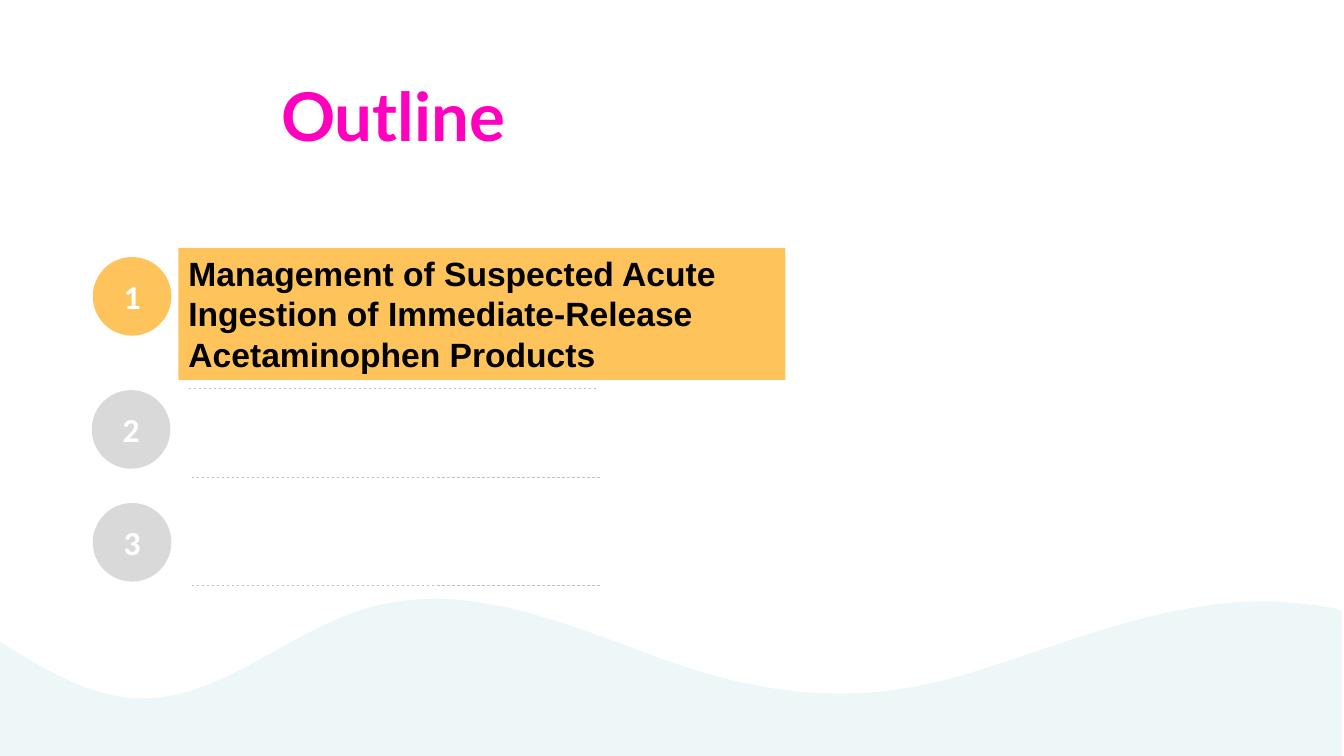
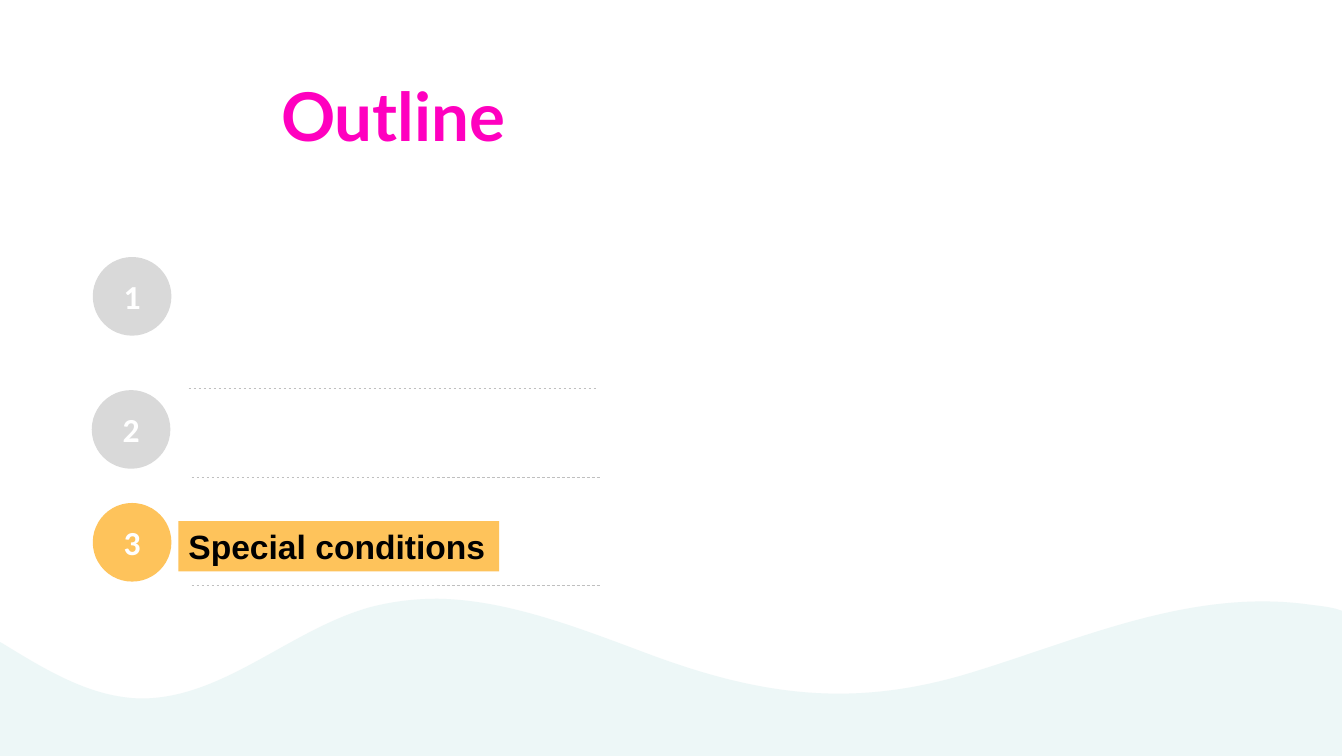
"""Build two outline slides, each with one topic lit."""
from dataclasses import dataclass

import lxml.etree
import pptx
import pptx.dml.color
import pptx.enum.dml
import pptx.enum.shapes
import pptx.enum.text
import pptx.oxml.ns
import pptx.presentation
import pptx.shapes.autoshape
import pptx.slide
import pptx.text.text
import pptx.util

Inches = pptx.util.Inches
RGBColor = pptx.dml.color.RGBColor
Anchor = pptx.enum.text.MSO_ANCHOR
Align = pptx.enum.text.PP_ALIGN
Preset = pptx.enum.shapes.MSO_SHAPE
Point = tuple[float, float]

PINK = RGBColor(0xFF, 0x00, 0xBF)
GOLD = RGBColor(0xFE, 0xC3, 0x5B)
GREY = RGBColor(0xD9, 0xD9, 0xD9)
DASH = RGBColor(0xBF, 0xBF, 0xBF)
TINT = RGBColor(0xE5, 0xF3, 0xF3)
BLACK = RGBColor(0x00, 0x00, 0x00)
WHITE = RGBColor(0xFF, 0xFF, 0xFF)

DISC = 0.78
RULE = 4.06
START = (4.34, 5.94)
WAVE = [
    ((5.03, 5.95), (5.74, 6.23), (6.41, 6.48)),
    ((7.53, 6.9), (8.45, 7.03), (9.61, 6.68)),
    ((10.7, 6.35), (11.81, 5.83), (13, 6)),
    ((13.08, 6.01), (13.17, 6.02), (13.25, 6.04)),
    ((13.31, 6.06),),
    ((13.31, 7.5),),
    ((0, 7.5),),
    ((0, 6.37),),
    ((0.02, 6.38),),
    ((0.46, 6.65), (0.9, 6.92), (1.4, 6.93)),
    ((2.21, 6.93), (2.86, 6.26), (3.65, 6.03)),
    ((3.87, 5.97), (4.1, 5.94), START),
]


@dataclass(frozen=True)
class Topic:
    """The places of a topic's disc and rule."""
    disc: Point
    rule: Point


@dataclass(frozen=True)
class Label:
    """The lit label of a slide, with its topic's number."""
    mark: int
    text: str
    place: Point
    size: Point


TOPICS = [
    Topic((0.92, 2.55), (1.87, 3.85)),
    Topic((0.91, 3.87), (1.9, 4.74)),
    Topic((0.92, 4.99), (1.9, 5.81)),
]
LABELS = [
    Label(1, "Management of Suspected Acute Ingestion of Immediate-Release "
             "Acetaminophen Products", (1.77, 2.46), (6.02, 1.31)),
    Label(3, "Special conditions", (1.77, 5.17), (3.18, 0.5)),
]


def paint(shape: pptx.shapes.autoshape.Shape, color: RGBColor) -> None:
    """Give a shape a flat fill with no line or shadow."""
    shape.shadow.inherit = False
    shape.fill.solid()
    shape.fill.fore_color.rgb = color
    shape.line.fill.background()


def write(frame: pptx.text.text.TextFrame, text: str, face: str, size: int,
          color: RGBColor, align: Align = Align.CENTER) -> None:
    """Write one bold paragraph."""
    frame.word_wrap = True
    line = frame.paragraphs[0]
    line.text = text
    line.alignment = align
    line.font.name = face
    line.font.size = pptx.util.Pt(size)
    line.font.bold = True
    line.font.color.rgb = color


def draw_wave(slide: pptx.slide.Slide) -> None:
    """Draw the see-through wave at the foot."""
    name = pptx.oxml.ns.qn
    pen = slide.shapes.build_freeform(*map(Inches, START))
    pen.add_line_segments([tuple(map(Inches, part[-1])) for part in WAVE])
    wave = pen.convert_to_shape()
    paint(wave, TINT)
    color = next(wave._element.spPr.iter(name("a:srgbClr")))
    lxml.etree.SubElement(color, name("a:alpha"), val="66000")
    for line, part in zip(list(wave._element.iter(name("a:lnTo"))), WAVE):
        if len(part) == 1:
            continue
        curve = lxml.etree.Element(name("a:cubicBezTo"))
        for x, y in part:
            lxml.etree.SubElement(curve, name("a:pt"),
                                  x=str(Inches(x) - wave.left),
                                  y=str(Inches(y) - wave.top))
        line.getparent().replace(line, curve)


def draw_rule(slide: pptx.slide.Slide, start: Point) -> None:
    """Draw a thin dashed rule."""
    left, top = start
    rule = slide.shapes.add_connector(
        pptx.enum.shapes.MSO_CONNECTOR.STRAIGHT,
        Inches(left), Inches(top), Inches(left + RULE), Inches(top))
    rule.line.color.rgb = DASH
    rule.line.width = pptx.util.Pt(0.5)
    rule.line.dash_style = pptx.enum.dml.MSO_LINE.DASH
    lxml.etree.SubElement(rule._element.spPr, pptx.oxml.ns.qn("a:effectLst"))


def draw_disc(slide: pptx.slide.Slide, place: Point, mark: int,
              color: RGBColor) -> None:
    """Draw a numbered disc."""
    disc = slide.shapes.add_shape(
        Preset.OVAL, *map(Inches, place + (DISC, DISC)))
    paint(disc, color)
    disc.text_frame.vertical_anchor = Anchor.MIDDLE
    write(disc.text_frame, str(mark), "Calibri", 24, WHITE)


def draw_label(slide: pptx.slide.Slide, label: Label) -> None:
    """Draw the lit label."""
    box = slide.shapes.add_shape(
        Preset.RECTANGLE, *map(Inches, label.place + label.size))
    paint(box, GOLD)
    box.text_frame.vertical_anchor = Anchor.TOP
    write(box.text_frame, label.text, "Arial", 24, BLACK, Align.LEFT)


def draw_slide(deck: pptx.presentation.Presentation, label: Label) -> None:
    """Add an outline slide with one topic lit."""
    slide = deck.slides.add_slide(deck.slide_layouts[6])
    draw_wave(slide)
    for mark, topic in enumerate(TOPICS, 1):
        draw_rule(slide, topic.rule)
        draw_disc(slide, topic.disc, mark,
                  GOLD if mark == label.mark else GREY)
    title = slide.shapes.add_textbox(*map(Inches, (2.04, 0.69, 3.72, 0.91)))
    write(title.text_frame, "Outline", "Lato", 48, PINK)
    draw_label(slide, label)


def main() -> None:
    """Build and save the deck."""
    deck = pptx.Presentation()
    deck.slide_width = Inches(13.33)
    deck.slide_height = Inches(7.5)
    for label in LABELS:
        draw_slide(deck, label)
    deck.save("out.pptx")


if __name__ == "__main__":
    main()
